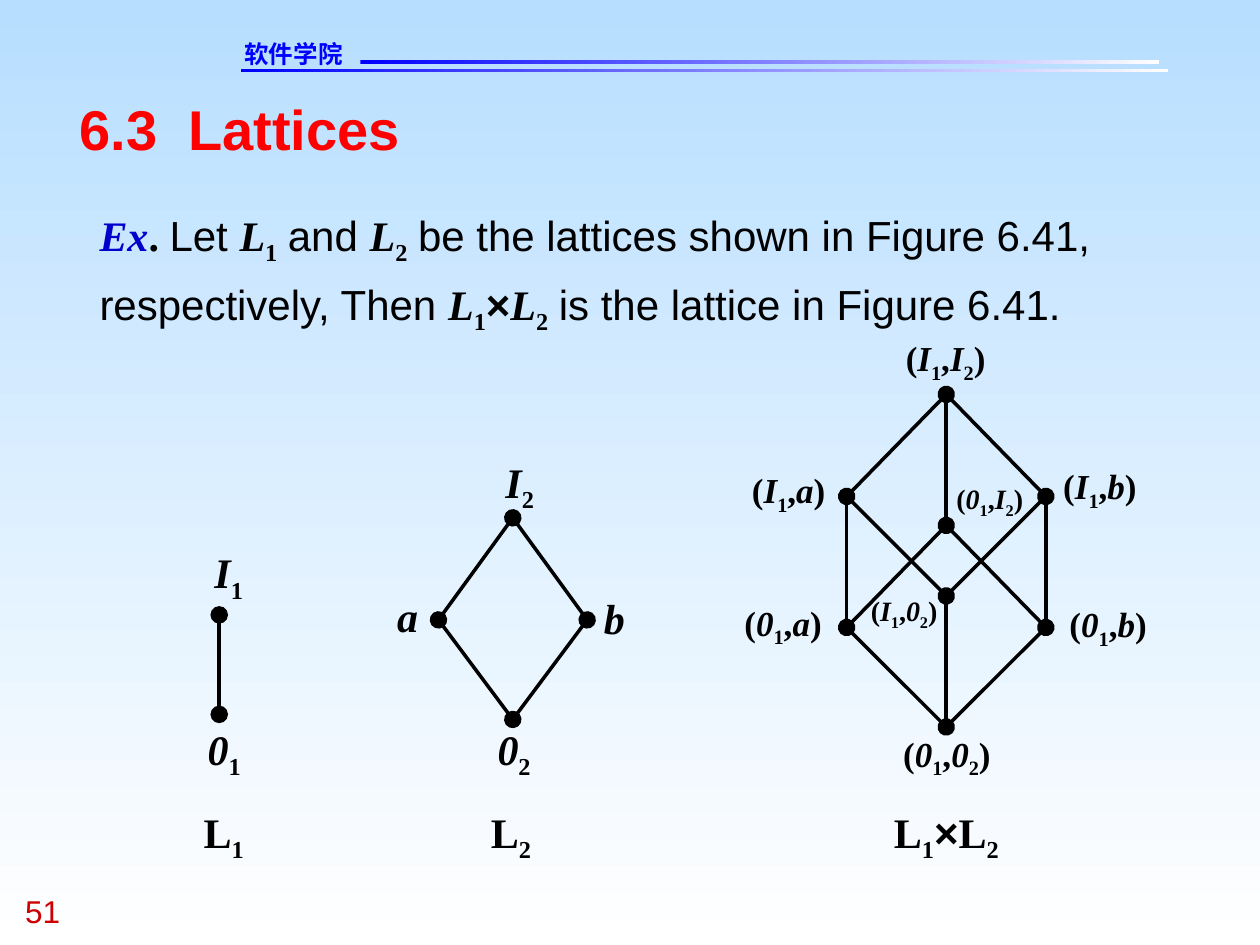
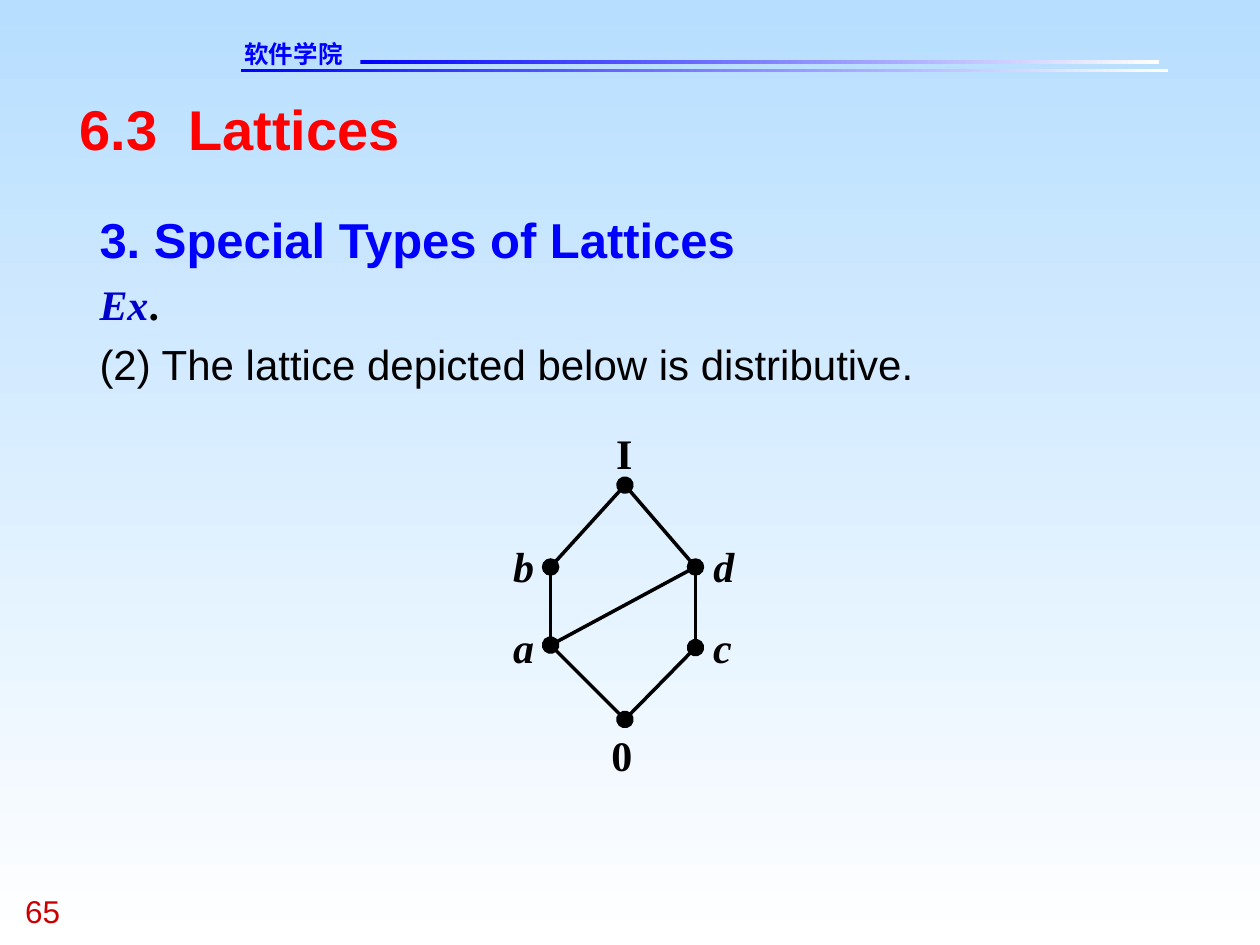
from dataclasses import dataclass
from itertools import groupby
from typing import Any, NamedTuple

from lxml import etree
from pptx import Presentation
from pptx.dml.color import RGBColor
from pptx.enum.shapes import MSO_CONNECTOR, MSO_SHAPE
from pptx.enum.text import MSO_ANCHOR, MSO_AUTO_SIZE, PP_ALIGN
from pptx.oxml.ns import qn
from pptx.util import Inches, Pt

RECTANGLE = MSO_SHAPE.RECTANGLE
STRAIGHT = MSO_CONNECTOR.STRAIGHT
TOP = MSO_ANCHOR.TOP
GROW = MSO_AUTO_SIZE.SHAPE_TO_FIT_TEXT
LEFT, CENTER = PP_ALIGN.LEFT, PP_ALIGN.CENTER
TITLE_ONLY = 5
SUBSCRIPT = "-25000"
LABEL_PADDING = 0.06


@dataclass(frozen=True)
class Theme:
    sky: str = "B7DEFF"
    white: str = "FFFFFF"
    black: str = "000000"
    blue: str = "0000FF"
    navy: str = "0000CC"
    title_red: str = "FF0000"
    number_red: str = "CC0000"
    sans: str = "Arial"
    serif: str = "Times New Roman"
    school_font: str = "DejaVu Sans"
    school_size: int = 14
    number_size: int = 18
    title_size: int = 32
    heading_size: int = 28
    body_size: int = 24
    pair_size: int = 20
    inner_size: int = 16
    edge_width: int = 2


THEME = Theme()


class Run(NamedTuple):
    text: str
    format: dict[str, Any]
    baseline: str = ""


class Box(NamedTuple):
    left: float
    top: float
    width: float
    height: float


class Point(NamedTuple):
    x: float
    y: float


@dataclass(frozen=True)
class Label:
    text: str
    left: float
    top: float
    width: float
    size: int = THEME.body_size
    italic: bool = True


Nodes = dict[str, Point]
Edges = list[tuple[str, str]]


def font_format(name: str, size: int, color: str = THEME.black,
                bold: bool = False, italic: bool = False) -> dict[str, Any]:
    return {"name": name, "size": Pt(size), "bold": bold, "italic": italic, "color": color}


PLAIN = font_format(THEME.sans, THEME.body_size)
STRONG = font_format(THEME.serif, THEME.body_size, bold=True)
EXAMPLE = STRONG | {"color": THEME.navy, "italic": True}
HEADING = font_format(THEME.sans, THEME.heading_size, THEME.blue, bold=True)
TITLE = font_format(THEME.sans, THEME.title_size, THEME.title_red, bold=True)
SCHOOL = font_format(THEME.school_font, THEME.school_size, THEME.blue, bold=True)
NUMBER = font_format(THEME.sans, THEME.number_size, THEME.number_red)


def symbol_kind(character: str) -> str:
    if character in "12":
        return "subscript"
    if character == "×":
        return "operator"
    return "mark" if character in "(,) " else "variable"


def math_runs(text: str, size: int = THEME.body_size, italic: bool = True) -> list[Run]:
    """Set 1 and 2 as subscripts, and variables in italics when asked."""
    runs = []
    for kind, characters in groupby(text, symbol_kind):
        values = STRONG | {"size": Pt(size), "italic": italic and kind == "variable"}
        if kind == "operator":
            values["name"] = THEME.sans
        runs.append(Run("".join(characters), values, SUBSCRIPT if kind == "subscript" else ""))
    return runs


# Text
def write_text(shape: Any, paragraphs: list[list[Run]], wrap: bool = True,
               alignment: Any = LEFT, line_spacing: float = 1.0) -> None:
    frame = shape.text_frame
    settings = {"margin_left": 0, "margin_top": 0, "margin_right": 0, "margin_bottom": 0,
                "word_wrap": wrap, "auto_size": GROW, "vertical_anchor": TOP}
    for name, value in settings.items():
        setattr(frame, name, value)
    for index, runs in enumerate(paragraphs):
        paragraph = frame.add_paragraph() if index else frame.paragraphs[0]
        paragraph.alignment = alignment
        paragraph.line_spacing = line_spacing
        for part in runs:
            run = paragraph.add_run()
            run.text = part.text
            for name, value in part.format.items():
                if name == "color":
                    run.font.color.rgb = RGBColor.from_string(value)
                else:
                    setattr(run.font, name, value)
            if part.baseline:
                run.font._element.set("baseline", part.baseline)


def add_text(slide: Any, box: Box, paragraphs: list[list[Run]], **options: Any) -> None:
    shape = slide.shapes.add_textbox(*map(Inches, box))
    write_text(shape, paragraphs, **options)


def add_labels(slide: Any, labels: list[Label]) -> None:
    """Centre each label, with room on both sides to keep it on one line."""
    for label in labels:
        line_factor = 0.019 if set(label.text) & set("12") else 0.0167
        box = Box(label.left - LABEL_PADDING, label.top,
                  label.width + 2 * LABEL_PADDING, label.size * line_factor)
        add_text(slide, box, [math_runs(label.text, label.size, label.italic)],
                 wrap=False, alignment=CENTER)


# Lattice diagrams
def diamond(names: list[str], center_x: float, middle_y: float, half_width: float) -> Nodes:
    """Name the corners in the order top, left, right, bottom."""
    corners = [Point(center_x, middle_y - 0.81), Point(center_x - half_width, middle_y),
               Point(center_x + half_width, middle_y), Point(center_x, middle_y + 0.79)]
    return dict(zip(names, corners))


def diamond_edges(names: list[str]) -> Edges:
    top, left, right, bottom = names
    return [(bottom, left), (bottom, right), (left, top), (right, top)]


def add_lattice(slide: Any, nodes: Nodes, edges: Edges) -> None:
    """Join the nodes; the first edge to reach a node carries its dot."""
    dotted: set[str] = set()
    for start, end in edges:
        connector = slide.shapes.add_connector(
            STRAIGHT, *map(Inches, (*nodes[start], *nodes[end])))
        connector.line.width = Pt(THEME.edge_width)
        connector.line.color.rgb = RGBColor.from_string(THEME.black)
        line = connector.line._get_or_add_ln()
        for tag, node in (("a:headEnd", start), ("a:tailEnd", end)):
            if node not in dotted:
                etree.SubElement(line, qn(tag), type="oval", w="lg", len="lg")
                dotted.add(node)
        etree.SubElement(connector._element.spPr, qn("a:effectLst"))


# Shared frame
def set_gradient(fill: Any, colors: tuple[str, str], angle: int) -> None:
    fill.gradient()
    fill.gradient_angle = angle
    for stop, color in zip(fill.gradient_stops, colors):
        stop.color.rgb = RGBColor.from_string(color)


def add_frame_slide(presentation: Any, number: int) -> Any:
    slide = presentation.slides.add_slide(presentation.slide_layouts[TITLE_ONLY])
    for box in (Box(1.91, 0.55, 7.36, 0.02), Box(2.86, 0.48, 6.34, 0.03)):
        band = slide.shapes.add_shape(RECTANGLE, *map(Inches, box))
        band.shadow.inherit = False
        band.line.fill.background()
        set_gradient(band.fill, (THEME.blue, THEME.white), 0)
    add_text(slide, Box(1.94, 0.31, 1.45, 0.23), [[Run("软件学院", SCHOOL)]])
    add_text(slide, Box(0.2, 7.08, 0.75, 0.3), [[Run(str(number), NUMBER)]])
    title = slide.shapes.title
    for name, value in Box(0.63, 0.75, 8.75, 0.53)._asdict().items():
        setattr(title, name, Inches(value))
    write_text(title, [[Run("6.3  Lattices", TITLE)]])
    return slide


def build_product_slide(presentation: Any) -> None:
    slide = add_frame_slide(presentation, 51)
    add_text(slide, Box(0.79, 1.57, 8.76, 1.09), [[
        Run("Ex", EXAMPLE), Run(". ", STRONG), Run("Let ", PLAIN), *math_runs("L1 "),
        Run("and ", PLAIN), *math_runs("L2 "),
        Run("be the lattices shown in Figure 6.41, respectively, Then ", PLAIN),
        *math_runs("L1×L2 "), Run("is the lattice in Figure 6.41.", PLAIN),
    ]], line_spacing=1.2)

    # Chain L1 and diamond L2
    add_lattice(slide, {"01": Point(1.74, 5.67), "I1": Point(1.74, 4.88)}, [("01", "I1")])
    factor = ["I2", "a", "b", "02"]
    add_lattice(slide, diamond(factor, 4.07, 4.92, 0.59), diamond_edges(factor))

    # Product: two diamonds joined corner to corner
    upper = [f"I1,{name}" for name in factor]
    lower = [f"01,{name}" for name in factor]
    nodes = diamond(upper, 7.51, 3.94, 0.79) | diamond(lower, 7.51, 4.98, 0.79)
    add_lattice(slide, nodes,
                diamond_edges(lower) + diamond_edges(upper) + list(zip(lower, upper)))

    pair, inner = THEME.pair_size, THEME.inner_size
    add_labels(slide, [
        Label("I1", 1.7, 4.34, 0.23),
        Label("01", 1.65, 5.74, 0.26),
        Label("I2", 4.01, 3.62, 0.23),
        Label("a", 3.15, 4.69, 0.17),
        Label("b", 4.79, 4.7, 0.17),
        Label("02", 3.95, 5.74, 0.26),
        Label("(I1,I2)", 7.19, 2.67, 0.63, pair),
        Label("(I1,a)", 5.97, 3.72, 0.58, pair),
        Label("(I1,b)", 8.44, 3.69, 0.58, pair),
        Label("(I1,02)", 6.91, 4.71, 0.53, inner),
        Label("(01,I2)", 7.59, 3.82, 0.53, inner),
        Label("(01,a)", 5.91, 4.77, 0.61, pair),
        Label("(01,b)", 8.49, 4.78, 0.61, pair),
        Label("(01,02)", 7.17, 5.81, 0.69, pair),
        Label("L1", 1.61, 6.4, 0.33, italic=False),
        Label("L2", 3.89, 6.4, 0.33, italic=False),
        Label("L1×L2", 7.06, 6.4, 0.9, italic=False),
    ])


def build_distributive_slide(presentation: Any) -> None:
    slide = add_frame_slide(presentation, 65)
    add_text(slide, Box(0.79, 1.57, 8.76, 1.52), [
        [Run("3. Special Types of Lattices", HEADING)],
        [Run("Ex", EXAMPLE), Run(".", STRONG)],
        [Run("(2) The lattice depicted below is distributive.", PLAIN)],
    ], line_spacing=1.2)

    # Distributive lattice
    nodes = {"I": Point(4.96, 3.85), "b": Point(4.37, 4.5), "d": Point(5.52, 4.5),
             "a": Point(4.37, 5.12), "c": Point(5.52, 5.14), "0": Point(4.96, 5.71)}
    add_lattice(slide, nodes, [("0", "a"), ("0", "c"), ("a", "b"), ("a", "d"),
                               ("c", "d"), ("b", "I"), ("d", "I")])
    add_labels(slide, [
        Label("I", 4.89, 3.39, 0.13, italic=False),
        Label("b", 4.07, 4.29, 0.17),
        Label("d", 5.66, 4.29, 0.17),
        Label("a", 4.07, 4.93, 0.17),
        Label("c", 5.66, 4.93, 0.15),
        Label("0", 4.85, 5.79, 0.17, italic=False),
    ])


def main() -> None:
    presentation = Presentation()
    presentation.slide_width = Inches(10)
    presentation.slide_height = Inches(7.5)
    set_gradient(presentation.slide_master.background.fill, (THEME.sky, THEME.white), 270)
    build_product_slide(presentation)
    build_distributive_slide(presentation)
    presentation.save("out.pptx")


if __name__ == "__main__":
    main()
